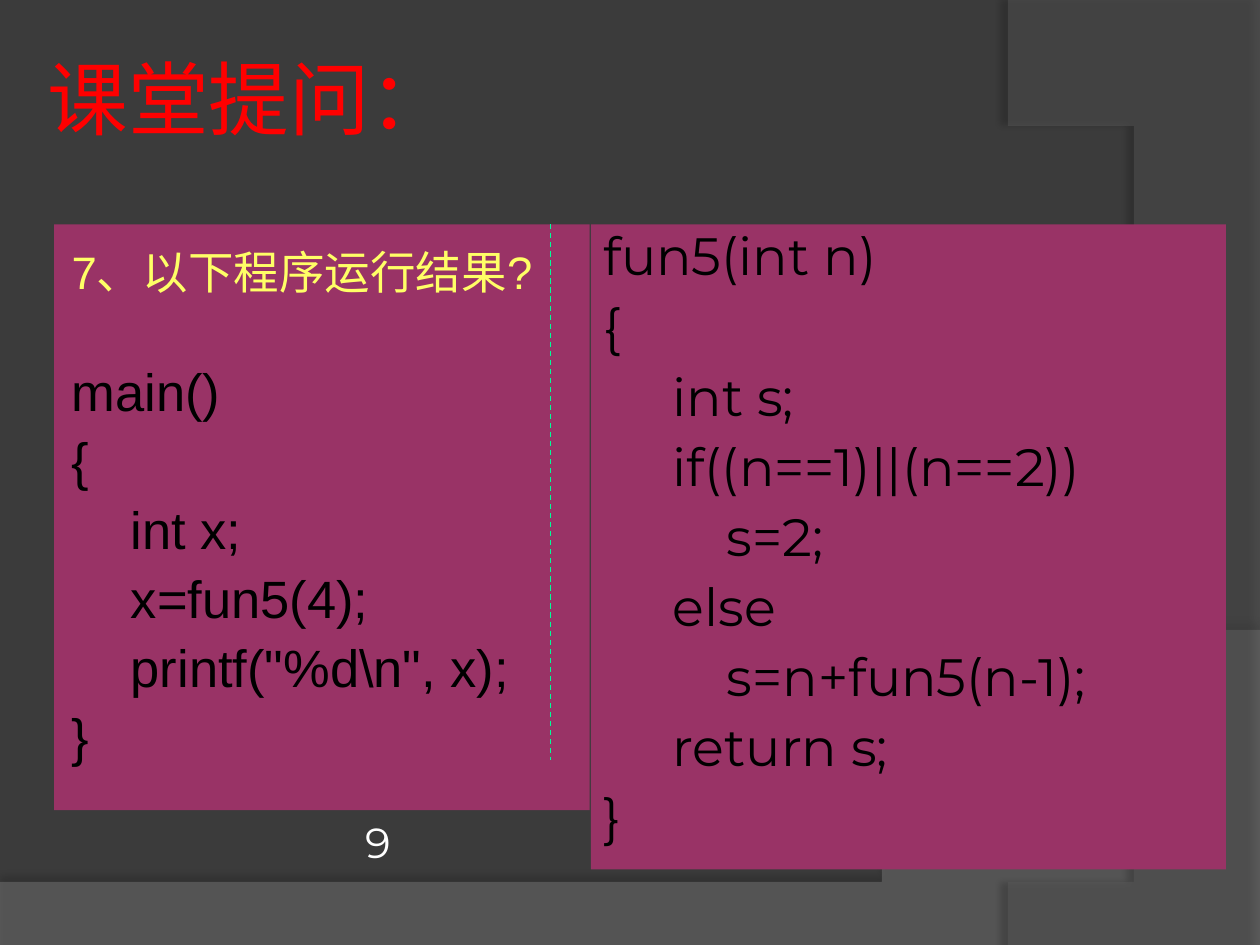
"""Build a classroom question slide about a recursive C function."""
from dataclasses import dataclass

from lxml.etree import SubElement
from pptx import Presentation
from pptx.dml.color import RGBColor
from pptx.enum.dml import MSO_LINE_DASH_STYLE as Dash
from pptx.enum.shapes import MSO_CONNECTOR as Connector, MSO_SHAPE as Preset
from pptx.enum.text import MSO_ANCHOR as Anchor, PP_ALIGN as Align
from pptx.oxml.ns import qn
from pptx.util import Inches, Pt

COLORS = {
    "background": "3B3B3B", "wave": "7F7F7F", "arc": "5E5E5E",
    "shadow": "000000", "title": "FF0000", "panel": "993366",
    "question": "FFFF66", "code": "000000", "number": "FFFFFF",
    "divider": "00FF99",
}


@dataclass
class Line:
    text: str
    level: int = 0
    size: float = 30
    color: str = "code"
    before: float | None = None
    spacing: float | None = None


@dataclass
class Panel:
    box: tuple
    font: str
    insets: tuple
    indents: tuple
    before: float
    spacing: float
    lines: list


@dataclass
class Swoosh:
    start: tuple
    segments: list
    color: str
    opacity: int
    shadow_opacity: int
    shadow_distance: float
    shadow_angle: int


PANELS = [
    Panel((0.43, 1.78, 4.25, 4.65), "Arial", (0.1, 0.21, 0.1, 0.17),
          (0.04, 0.51), 7, 0.9, [
              Line("7、以下程序运行结果?", size=26, color="question"),
              Line("main()", before=38),
              Line("{"),
              Line("int x;", 1),
              Line("x=fun5(4);", 1),
              Line('printf("%d\\n", x);', 1),
              Line("}"),
          ]),
    Panel((4.69, 1.78, 5.04, 5.12), "Montserrat", (0.1, 0.05, 0.1, 0.05),
          (0, 0.55, 0.98), 4, 1.0, [
              Line("fun5(int n)", before=7, spacing=0.9),
              Line("{"),
              Line("int s;", 1),
              Line("if((n==1)||(n==2))", 1),
              Line("s=2;", 2),
              Line("else", 1),
              Line("s=n+fun5(n-1);", 2),
              Line("return s;", 1),
              Line("}"),
          ]),
]

SWOOSHES = [
    Swoosh((0, 7.05), [[(0, 7.51)], [(10, 7.51)], [(10, 5.2)],
                       [(5.59, 7.29), (3.91, 7.19), (0, 7.05)]],
           "wave", 45, 35, 3.5, 270),
    Swoosh((10, 0.02), [[(10, 7.5)], [(8.21, 7.5)],
                        [(9.35, 6.19), (10.18, 3), (8, 0)]],
           "arc", 40, 45, 4, 180),
]


def rgb(name: str) -> RGBColor:
    """Look up a named colour."""
    return RGBColor.from_string(COLORS[name])


def apply(target, values: dict) -> None:
    """Set every attribute listed in values."""
    for name, value in values.items():
        setattr(target, name, value)


def set_insets(frame, insets: tuple) -> None:
    """Set the left, top, right and bottom text margins."""
    names = ("margin_left", "margin_top", "margin_right", "margin_bottom")
    apply(frame, dict(zip(names, map(Inches, insets))))


def write(paragraph, text: str, font: str, size: float, color: str) -> None:
    """Add one formatted run to a left-aligned paragraph."""
    paragraph.alignment = Align.LEFT
    run = paragraph.add_run()
    run.text = text
    apply(run.font, {"name": font, "size": Pt(size)})
    run.font.color.rgb = rgb(color)


def curve_points(start: tuple, controls: list, steps: int = 40) -> list:
    """Sample a cubic curve into short straight segments."""
    points = []
    for step in range(1, steps + 1):
        t = step / steps
        weights = ((1 - t) ** 3, 3 * t * (1 - t) ** 2, 3 * t * t * (1 - t), t ** 3)
        points.append(tuple(
            sum(weight * point[axis] for weight, point in zip(weights, [start, *controls]))
            for axis in (0, 1)))
    return points


def draw_swoosh(slide, swoosh: Swoosh):
    """Draw a translucent curved background form with a soft shadow."""
    vertices, current = [], swoosh.start
    for segment in swoosh.segments:
        vertices += curve_points(current, segment) if len(segment) == 3 else segment
        current = segment[-1]
    builder = slide.shapes.build_freeform(*swoosh.start, scale=Inches(1))
    builder.add_line_segments(vertices, close=True)
    shape = builder.convert_to_shape()
    shape.shadow.inherit = False
    shape.fill.solid()
    shape.fill.fore_color.rgb = rgb(swoosh.color)
    shape.line.fill.background()
    properties = shape.element.spPr
    color = properties.find(qn("a:solidFill")).find(qn("a:srgbClr"))
    SubElement(color, qn("a:alpha"), val=str(swoosh.opacity * 1000))
    shadow = SubElement(
        properties.find(qn("a:effectLst")), qn("a:outerShdw"),
        blurRad=str(Pt(4)), dist=str(Pt(swoosh.shadow_distance)),
        dir=str(swoosh.shadow_angle * 60000), algn="ctr", rotWithShape="0")
    shade = SubElement(shadow, qn("a:srgbClr"), val=COLORS["shadow"])
    SubElement(shade, qn("a:alpha"), val=str(swoosh.shadow_opacity * 1000))
    return shape


def draw_panel(slide, panel: Panel) -> None:
    """Draw a filled rectangle holding indented code lines."""
    shape = slide.shapes.add_shape(Preset.RECTANGLE, *map(Inches, panel.box))
    shape.shadow.inherit = False
    shape.fill.solid()
    shape.fill.fore_color.rgb = rgb("panel")
    shape.line.fill.background()
    frame = shape.text_frame
    apply(frame, {"word_wrap": True, "vertical_anchor": Anchor.TOP})
    set_insets(frame, panel.insets)
    for index, line in enumerate(panel.lines):
        paragraph = frame.add_paragraph() if index else frame.paragraphs[0]
        apply(paragraph, {"space_before": Pt(line.before or panel.before),
                          "line_spacing": line.spacing or panel.spacing})
        write(paragraph, line.text, panel.font, line.size, line.color)
        indent = Inches(panel.indents[line.level])
        paragraph._p.get_or_add_pPr().set("marL", str(indent))


def draw_divider(slide) -> None:
    """Draw the dashed vertical divider."""
    divider = slide.shapes.add_connector(
        Connector.STRAIGHT, *map(Inches, (4.37, 1.78, 4.37, 6.03)))
    divider.line.color.rgb = rgb("divider")
    apply(divider.line, {"width": Pt(0.75), "dash_style": Dash.DASH})
    SubElement(divider.element.spPr, qn("a:effectLst"))


def main() -> None:
    """Assemble and save the slide."""
    presentation = Presentation()
    apply(presentation, {"slide_width": Inches(10), "slide_height": Inches(7.5)})
    slide = presentation.slides.add_slide(presentation.slide_layouts[5])
    slide.background.fill.solid()
    slide.background.fill.fore_color.rgb = rgb("background")

    title = slide.shapes.title
    for swoosh in SWOOSHES:
        title.element.addprevious(draw_swoosh(slide, swoosh).element)
    apply(title, {"left": Inches(0.33), "top": Inches(0.25),
                  "width": Inches(9.34), "height": Inches(1.04)})
    title.text_frame.vertical_anchor = Anchor.MIDDLE
    set_insets(title.text_frame, (0.05,) * 4)
    write(title.text_frame.paragraphs[0], "课堂提问：", "Cabin", 46, "title")

    question, function = PANELS
    draw_panel(slide, question)
    number = slide.shapes.add_textbox(*map(Inches, (2.8, 6.43, 0.39, 0.5)))
    number.text_frame.word_wrap = False
    write(number.text_frame.paragraphs[0], "9", "Montserrat", 24, "number")
    draw_panel(slide, function)
    draw_divider(slide)
    presentation.save("out.pptx")


if __name__ == "__main__":
    main()
